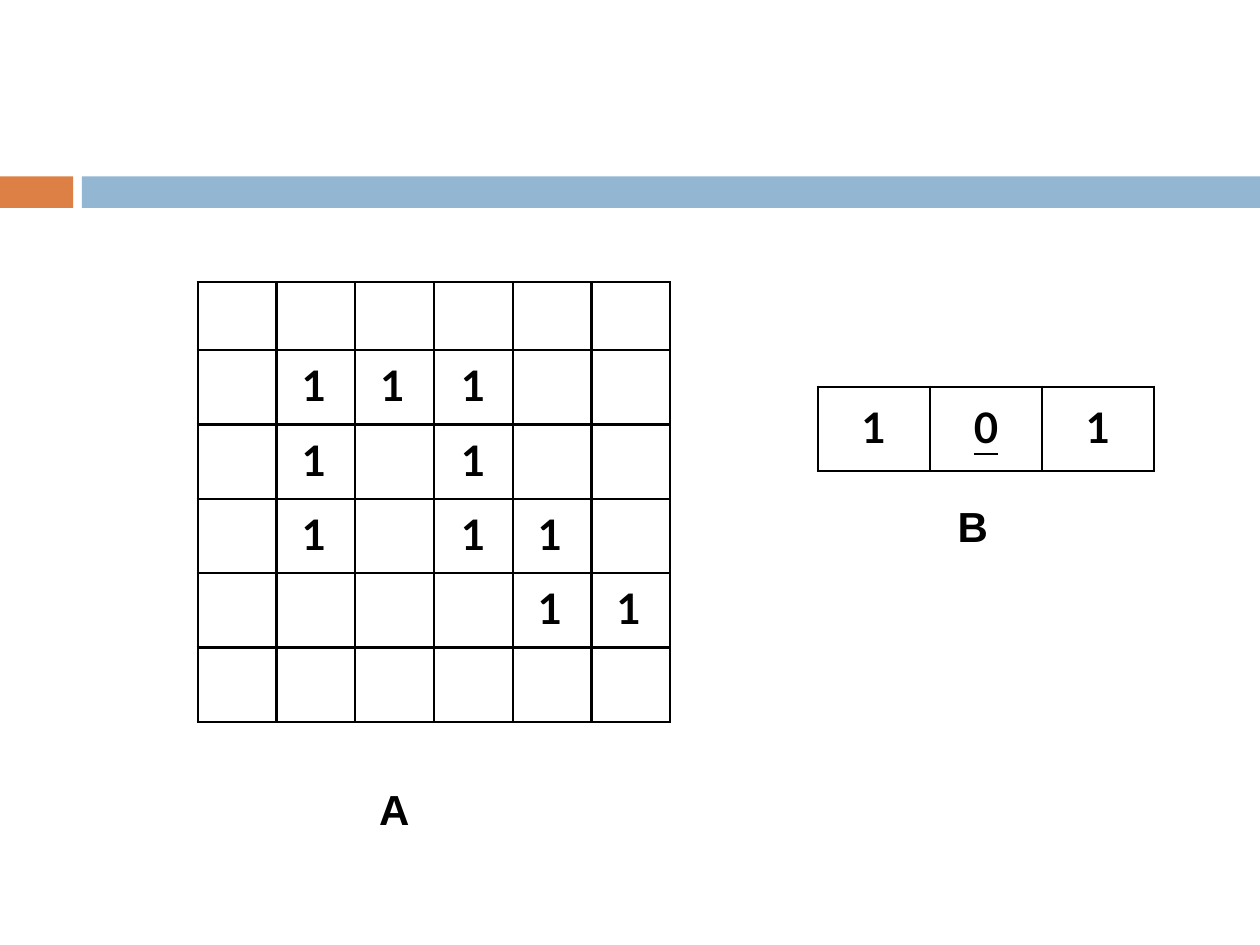
from dataclasses import dataclass

from lxml.etree import SubElement
from pptx import Presentation
from pptx.dml.color import RGBColor
from pptx.enum.shapes import MSO_SHAPE as Shape
from pptx.enum.text import PP_ALIGN as Align
from pptx.oxml.ns import qn
from pptx.util import Inches, Pt


@dataclass(frozen=True)
class Theme:
    """Colours, fonts and sizes of the slide."""
    accent: str = "DD8046"
    band: str = "93B6D2"
    ink: str = "000000"
    digit_font: str = "Lato"
    label_font: str = "Arial"
    text_size: int = 24
    border_width: float = 1.5


class SlideBuilder:
    """Draws themed elements on the current slide."""

    def __init__(self, slide, theme):
        self.slide = slide
        self.theme = theme

    def bar(self, left, top, width, height, color):
        shape = self.slide.shapes.add_shape(
            Shape.RECTANGLE, Inches(left), Inches(top), Inches(width), Inches(height))
        shape.shadow.inherit = False
        shape.fill.solid()
        shape.fill.fore_color.rgb = RGBColor.from_string(color)
        shape.line.fill.background()

    def add_text(self, paragraph, text, font_name, underline=False):
        run = paragraph.add_run()
        run.text = text
        run.font.name = font_name
        run.font.size = Pt(self.theme.text_size)
        run.font.bold = True
        run.font.underline = underline
        run.font.color.rgb = RGBColor.from_string(self.theme.ink)

    def label(self, left, top, width, text):
        box = self.slide.shapes.add_textbox(
            Inches(left), Inches(top), Inches(width), Inches(0.43))
        frame = box.text_frame
        frame.word_wrap = True
        frame.margin_left = Inches(0.01)
        frame.margin_right = frame.margin_bottom = 0
        frame.margin_top = Inches(0.03)
        self.add_text(frame.paragraphs[0], text, self.theme.label_font)

    def border(self, cell):
        properties = cell._tc.get_or_add_tcPr()
        for side in ("lnL", "lnR", "lnT", "lnB"):
            line = SubElement(properties, qn(f"a:{side}"), w=str(Pt(self.theme.border_width)))
            fill = SubElement(line, qn("a:solidFill"))
            SubElement(fill, qn("a:srgbClr"), val=self.theme.ink)

    def grid(self, left, top, width, row_heights, rows, inset, centred, origin=None):
        column_count = len(rows[0])
        table = self.slide.shapes.add_table(
            len(rows), column_count, Inches(left), Inches(top),
            Inches(width), Inches(sum(row_heights))).table
        table.first_row = table.horz_banding = False
        for row, height in zip(table.rows, row_heights):
            row.height = Inches(height)
        for column in table.columns:
            column.width = Inches(width / column_count)
        for row_index, row in enumerate(rows):
            for column_index, digit in enumerate(row):
                cell = table.cell(row_index, column_index)
                self.border(cell)
                cell.fill.background()
                if digit == ".":
                    continue
                is_centred = column_index in centred
                cell.margin_left = 0 if is_centred else Inches(0.2)
                cell.margin_right = cell.margin_bottom = 0
                cell.margin_top = Inches(inset)
                paragraph = cell.text_frame.paragraphs[0]
                paragraph.alignment = Align.CENTER if is_centred else Align.LEFT
                self.add_text(paragraph, digit, self.theme.digit_font,
                              (row_index, column_index) == origin)


def main():
    presentation = Presentation()
    presentation.slide_width = Inches(10)
    presentation.slide_height = Inches(7.5)
    theme = Theme()
    slide = presentation.slides.add_slide(presentation.slide_layouts[6])
    builder = SlideBuilder(slide, theme)

    builder.bar(0, 1.4, 0.58, 0.25, theme.accent)
    builder.bar(0.65, 1.4, 9.35, 0.25, theme.band)

    image_rows = ["......", ".111..", ".1.1..", ".1.11.", "....11", "......"]
    builder.grid(1.57, 2.24, 3.75, [0.54] + [0.59] * 5, image_rows, 0.08, centred={3})
    builder.grid(6.49, 3.07, 2.67, [0.67], ["101"], 0.12, centred={0, 1, 2}, origin=(0, 1))

    builder.label(3, 6.19, 0.26, "A")
    builder.label(7.59, 3.94, 0.26, "B")
    presentation.save("out.pptx")


if __name__ == "__main__":
    main()
